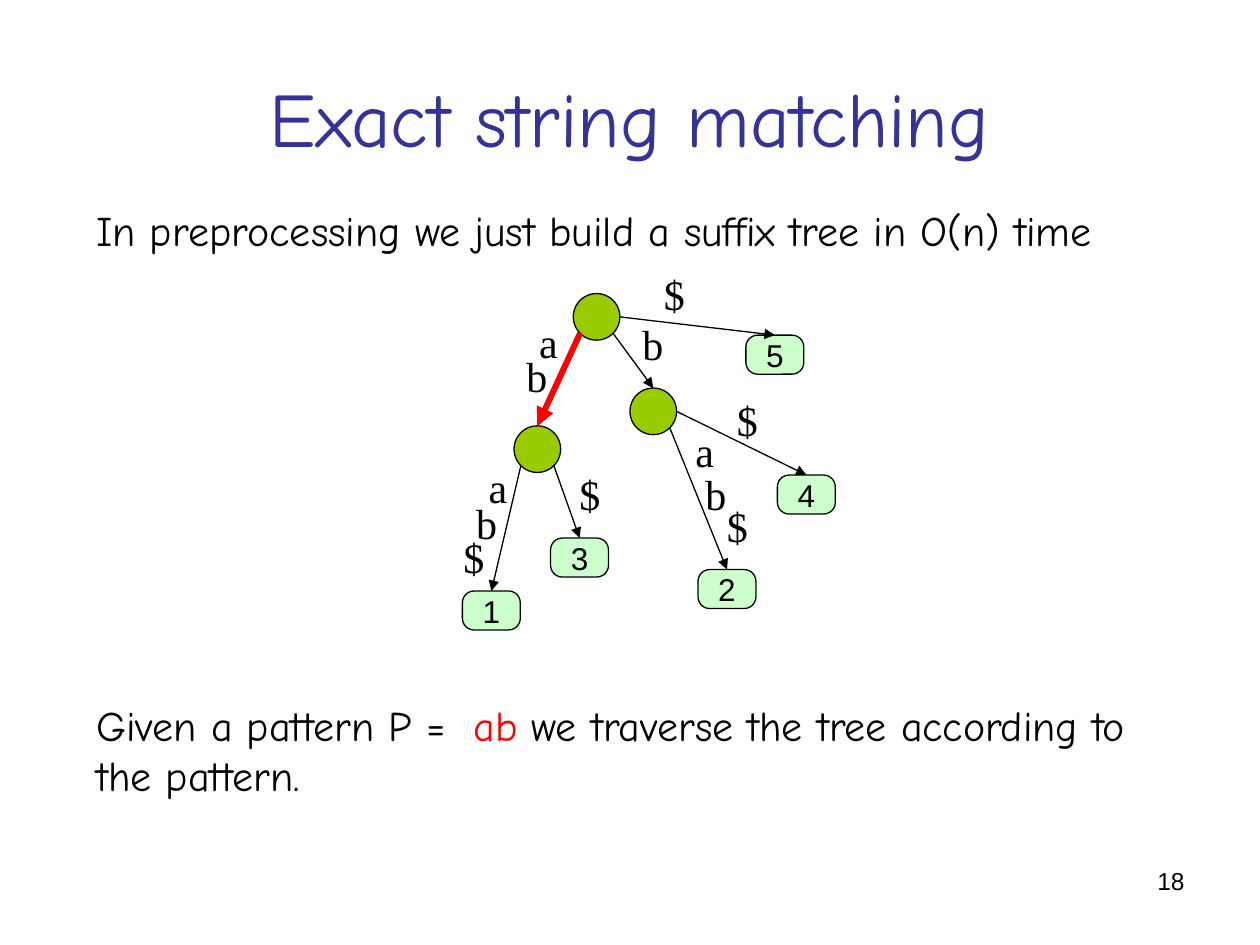
from dataclasses import dataclass
from math import sqrt

from lxml import etree
from pptx import Presentation
from pptx.dml.color import RGBColor
from pptx.enum.shapes import MSO_CONNECTOR, MSO_SHAPE
from pptx.enum.text import MSO_ANCHOR, PP_ALIGN
from pptx.oxml.ns import qn
from pptx.util import Inches, Pt

OVAL, ROUND = MSO_SHAPE.OVAL, MSO_SHAPE.ROUNDED_RECTANGLE
LINE = MSO_CONNECTOR.STRAIGHT
LEFT, CENTER, RIGHT = PP_ALIGN.LEFT, PP_ALIGN.CENTER, PP_ALIGN.RIGHT
TOP, MIDDLE = MSO_ANCHOR.TOP, MSO_ANCHOR.MIDDLE
WIDE, HIGH = 10, 7.5


@dataclass(frozen=True)
class Theme:
    ink: str = "000000"
    blue: str = "333399"
    red: str = "FF0000"
    node: str = "99CC00"
    leaf: str = "CCFFCC"
    hand: str = "Comic Neue"
    sans: str = "Arial"
    serif: str = "Times New Roman"
    head: int = 44
    body: int = 24
    key: int = 18
    foot: int = 14
    thin: float = 0.75
    bold: float = 3.5


T = Theme()

COLS, ROWS = 64, 60
DISC = 7.4
LEAF = (9.2, 6.2)
MARK = (8.4, 10)
NODES = {"root": (24.7, 10.3), "left": (15.3, 31.3), "right": (33.7, 25.3)}
LEAVES = {"1": (8, 53.8), "2": (45.4, 50.4), "3": (22, 45.4),
          "4": (58, 35.4), "5": (53, 13.2)}
SIDES = {"sw": (-sqrt(0.5), sqrt(0.5)), "se": (sqrt(0.5), sqrt(0.5)), "e": (1, 0)}
EDGES = [
    ("root", "sw", "left", [("a", 13.6, 9.2), ("b", 11.6, 14.6)]),
    ("root", "se", "right", [("b", 30, 9.6)]),
    ("root", "e", "5", [("$", 33.4, 1.6)]),
    ("left", "sw", "1", [("a", 5.6, 32.2), ("b", 3.6, 38), ("$", 1.6, 43.4)]),
    ("left", "se", "3", [("$", 20, 33.4)]),
    ("right", "se", "2", [("a", 38.4, 26.6), ("b", 40, 33.4), ("$", 43.4, 38.4)]),
    ("right", "e", "4", [("$", 45, 21.6)]),
]
MATCH = ("root", "sw", "left")


def color(code):
    return RGBColor.from_string(code)


def share(x, y, w, h):
    return x * WIDE, y * HIGH, w * WIDE, h * HIGH


def write(frame, runs, font, size, align=LEFT, anchor=TOP, wrap=True):
    frame.word_wrap = wrap
    frame.vertical_anchor = anchor
    para = frame.paragraphs[0]
    para.alignment = align
    for text, ink in runs:
        run = para.add_run()
        run.text = text
        run.font.name = font
        run.font.size = Pt(size)
        run.font.color.rgb = color(ink)


def label(slide, box, runs, font, size, align=LEFT):
    shape = slide.shapes.add_textbox(*map(Inches, box))
    write(shape.text_frame, runs, font, size, align)


def block(slide, kind, box, fill):
    shape = slide.shapes.add_shape(kind, *map(Inches, box))
    shape.shadow.inherit = False
    shape.fill.solid()
    shape.fill.fore_color.rgb = color(fill)
    shape.line.color.rgb = color(T.ink)
    shape.line.width = Pt(T.thin)
    return shape


def arrow(slide, start, end, ink, width):
    link = slide.shapes.add_connector(LINE, *map(Inches, (*start, *end)))
    link.line.color.rgb = color(ink)
    link.line.width = Pt(width)
    etree.SubElement(link.line._get_or_add_ln(), qn("a:tailEnd"), type="triangle")
    etree.SubElement(link._element.spPr, qn("a:effectLst"))


def title(slide, box, text):
    shape = slide.shapes.title
    shape.left, shape.top, shape.width, shape.height = map(Inches, box)
    write(shape.text_frame, [(text, T.blue)], T.hand, T.head, CENTER, MIDDLE)


def tree(slide, box):
    left, top, width, height = box
    col, row = width / COLS, height / ROWS

    def spot(x, y):
        return left + x * col, top + y * row

    def area(x, y, w, h):
        return *spot(x, y), w * col, h * row

    def edge(start, side, end, ink, width):
        x, y = NODES[start]
        dx, dy = SIDES[side]
        if end in NODES:
            tip = (NODES[end][0], NODES[end][1] - DISC / 2)
        else:
            tip = LEAVES[end]
        tail = spot(x + dx * DISC / 2, y + dy * DISC / 2)
        arrow(slide, tail, spot(*tip), ink, width)

    for x, y in NODES.values():
        block(slide, OVAL, area(x - DISC / 2, y - DISC / 2, DISC, DISC), T.node)
    for name, (x, y) in LEAVES.items():
        leaf = block(slide, ROUND, area(x - LEAF[0] / 2, y, *LEAF), T.leaf)
        leaf.adjustments[0] = 0.3
        write(leaf.text_frame, [(name, T.ink)], T.sans, T.key, CENTER, MIDDLE, False)
    for start, side, end, marks in EDGES:
        edge(start, side, end, T.ink, T.thin)
        for text, x, y in marks:
            label(slide, area(x, y, *MARK), [(text, T.ink)], T.serif, T.body)
    edge(*MATCH, T.red, T.bold)


def main():
    deck = Presentation()
    deck.slide_width, deck.slide_height = Inches(WIDE), Inches(HIGH)
    slide = deck.slides.add_slide(deck.slide_layouts[5])
    title(slide, share(0.05, 0.04, 0.9, 1 / 6), "Exact string matching")
    label(slide, share(1 / 15, 0.21, 0.85, 1 / 15),
          [("In preprocessing we just build a suffix tree in O(n) time", T.ink)],
          T.hand, T.body)
    tree(slide, share(0.35, 4 / 15, 0.32, 0.4))
    label(slide, share(1 / 15, 11 / 15, 0.85, 0.12),
          [("Given a pattern P =  ", T.ink), ("ab ", T.red),
           ("we traverse the tree according to the pattern.", T.ink)],
          T.hand, T.body)
    label(slide, share(0.72, 0.91, 0.23, 0.07), [("18", T.ink)], T.sans, T.foot, RIGHT)
    deck.save("out.pptx")


if __name__ == "__main__":
    main()
